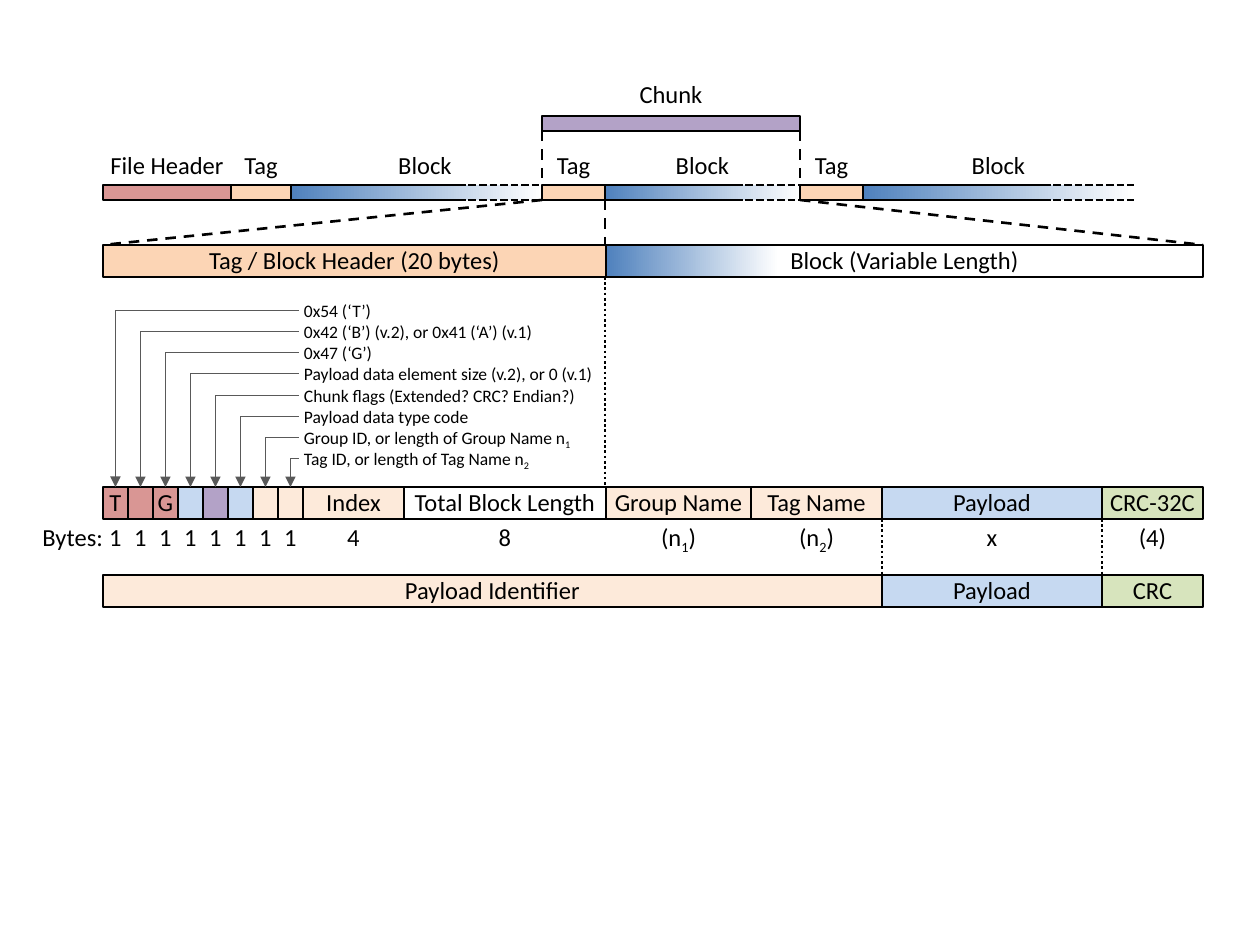
"""Draw the layout of a tagged block file, from chunks down to header bytes."""
from lxml.etree import SubElement
from pptx import Presentation
from pptx.dml.color import RGBColor
from pptx.enum.dml import MSO_LINE as Dash
from pptx.enum.shapes import MSO_CONNECTOR as Link, MSO_SHAPE as Form
from pptx.enum.text import MSO_ANCHOR as Anchor, MSO_AUTO_SIZE as Fit, PP_ALIGN as Align
from pptx.oxml.ns import qn
from pptx.util import Pt

PX = 914400 / 126
HUES = {
    "ink": "000000", "gray": "595959", "white": "FFFFFF", "red": "D99694",
    "peach": "FCD5B5", "cream": "FDEADA", "sky": "C6D9F1", "blue": "4F81BD",
    "plum": "B3A2C7", "green": "D7E4BD",
}
LEFT, TALL, THIN = 103, 32, 15
TRACK, HEAD, FIELD, PART = 185, 245, 487, 575

FIELDS = [
    ("T", "red", 25, "1"), ("", "red", 25, "1"), ("G", "red", 25, "1"),
    ("", "sky", 25, "1"), ("", "plum", 25, "1"), ("", "sky", 25, "1"),
    ("", "cream", 25, "1"), ("", "cream", 25, "1"),
    ("Index", "cream", 101, "4"), ("Total Block Length", "white", 202, "8"),
    ("Group Name", "cream", 145, "(n|1|)"), ("Tag Name", "cream", 131, "(n|2|)"),
    ("Payload", "sky", 220, "x"), ("CRC-32C", "green", 101, "(4)"),
]
NOTES = [
    "0x54 (‘T’)",
    "0x42 (‘B’) (v.2), or 0x41 (‘A’) (v.1)",
    "0x47 (‘G’)",
    "Payload data element size (v.2), or 0 (v.1)",
    "Chunk flags (Extended? CRC? Endian?)",
    "Payload data type code",
    "Group ID, or length of Group Name n|1",
    "Tag ID, or length of Tag Name n|2",
]
BLOCKS = [(291, 251, 268), (605, 195, 195), (863, 271, 271)]
TAGS = [("File Header", "red", 103, 128), ("Tag", "peach", 231, 60),
        ("Tag", "peach", 542, 63), ("Tag", "peach", 800, 63)]
PARTS = [("Payload Identifier", "cream", 103, 779),
         ("Payload", "sky", 882, 220), ("CRC", "green", 1102, 101)]
GUIDES = [
    (542, TRACK + THIN, LEFT, HEAD, Dash.DASH),
    (605, TRACK + THIN, 605, HEAD, Dash.DASH),
    (800, TRACK + THIN, 1203, HEAD, Dash.DASH),
    (542, 131, 542, TRACK, Dash.DASH),
    (800, 131, 800, TRACK, Dash.DASH),
    (605, HEAD + TALL, 605, FIELD, Dash.ROUND_DOT),
    (882, FIELD + TALL, 882, PART, Dash.ROUND_DOT),
    (1102, FIELD + TALL, 1102, PART, Dash.ROUND_DOT),
]


def emu(*vals):
    return [round(val * PX) for val in vals]


def hue(name):
    return RGBColor.from_string(HUES[name])


def write(shape, text, size=14, align=Align.CENTER, pads=(0, 0, 0, 3)):
    frame = shape.text_frame
    frame.word_wrap = True
    (frame.margin_left, frame.margin_top,
     frame.margin_right, frame.margin_bottom) = emu(*pads)
    para = frame.paragraphs[0]
    para.alignment = align
    for i, bit in enumerate(text.split("|")):
        run = para.add_run()
        run.text = bit
        run.font.size, run.font.name = Pt(size), "Calibri"
        run.font.color.rgb = hue("ink")
        if i % 2:
            run.font._element.set("baseline", "-25000")


def label(text, x, y, wide, high, **look):
    box = page.add_textbox(*emu(x, y, wide, high))
    write(box, text, **look)
    box.text_frame.auto_size = Fit.SHAPE_TO_FIT_TEXT
    return box


def bar(text, fill, x, y, wide, high=TALL, edge=1, fade=None, home=None):
    rect = (home or page).add_shape(Form.RECTANGLE, *emu(x, y, wide, high))
    rect.shadow.inherit = False
    if fade:
        rect.fill.gradient()
        rect.fill.gradient_angle = 0
        for stop, name, spot in zip(rect.fill.gradient_stops, (fill, "white"), (0, fade)):
            stop.color.rgb, stop.position = hue(name), spot
    else:
        rect.fill.solid()
        rect.fill.fore_color.rgb = hue(fill)
    if edge:
        rect.line.color.rgb, rect.line.width = hue("ink"), Pt(edge)
    else:
        rect.line.fill.background()
    if text:
        write(rect, text)
        rect.text_frame.vertical_anchor = Anchor.MIDDLE
    return rect


def rule(x1, y1, x2, y2, dash=None, home=None, kind=Link.STRAIGHT, tint="ink", width=1.5):
    line = (home or page).add_connector(kind, *emu(x1, y1, x2, y2))
    line.line.color.rgb, line.line.width = hue(tint), Pt(width)
    if dash:
        line.line.dash_style = dash
    SubElement(line._element.spPr, qn("a:effectLst"))
    return line


def arrow(note, cell):
    line = rule(299, 310, 116, FIELD, kind=Link.ELBOW, tint="gray", width=1)
    line.begin_connect(note, 1)
    line.end_connect(cell, 0)
    line._element.spPr.find(qn("a:prstGeom")).set("prst", "bentConnector2")
    SubElement(line.line._get_or_add_ln(), qn("a:tailEnd"), type="triangle")


def block(x, wide):
    home = page.add_group_shape().shapes
    low, mid, end = TRACK + THIN, x + wide * 2 // 3, x + wide
    bar("", "blue", x, TRACK, wide, THIN, edge=0, fade=1, home=home)
    rule(x, TRACK, x, low, home=home)
    for y in (TRACK, low):
        rule(x, y, mid, y, home=home)
        rule(mid, y, end, y, Dash.SQUARE_DOT, home)


deck = Presentation()
deck.slide_width, deck.slide_height = emu(1260, 945)
page = deck.slides.add_slide(deck.slide_layouts[6]).shapes
SIGN = {"pads": (0, 6, 0, 6)}

cells, x = [], LEFT
for name, fill, wide, count in FIELDS:
    cells.append(bar(name, fill, x, FIELD, wide))
    label(count, x, 522, wide, 33)
    x += wide
label("Bytes:", 28, 522, 75, 33, align=Align.RIGHT)

bar("Tag / Block Header (20 bytes)", "peach", LEFT, HEAD, 503)
bar("Block (Variable Length)", "blue", 606, HEAD, 597, fade=0.29)
for name, fill, x, wide in PARTS:
    bar(name, fill, x, PART, wide)

for i, text in enumerate(NOTES):
    note = label(text, 299, 300 + i * 85 // 4, 306, 21,
                 size=10, align=Align.LEFT, pads=(5, 0, 5, 0))
    arrow(note, cells[i])

for x, wide, span in BLOCKS:
    block(x, wide)
    label("Block", x, 144, span, 43, **SIGN)
for guide in GUIDES:
    rule(*guide)
for name, fill, x, wide in TAGS:
    bar("", fill, x, TRACK, wide, THIN, 1.5)
    label(name, x, 144, wide, 43, **SIGN)
bar("", "plum", 542, 116, 258, THIN, 1.5)
label("Chunk", 542, 73, 258, 43, **SIGN)

deck.save("out.pptx")
